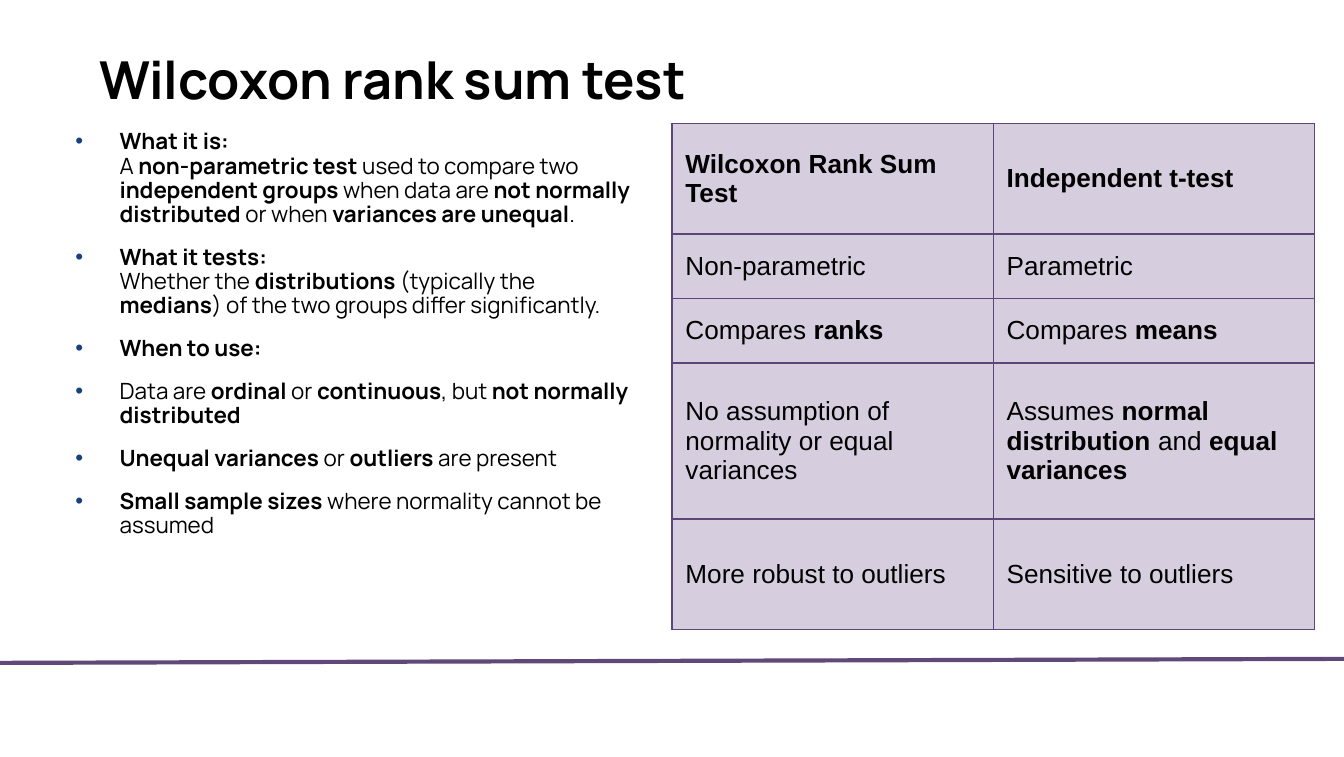
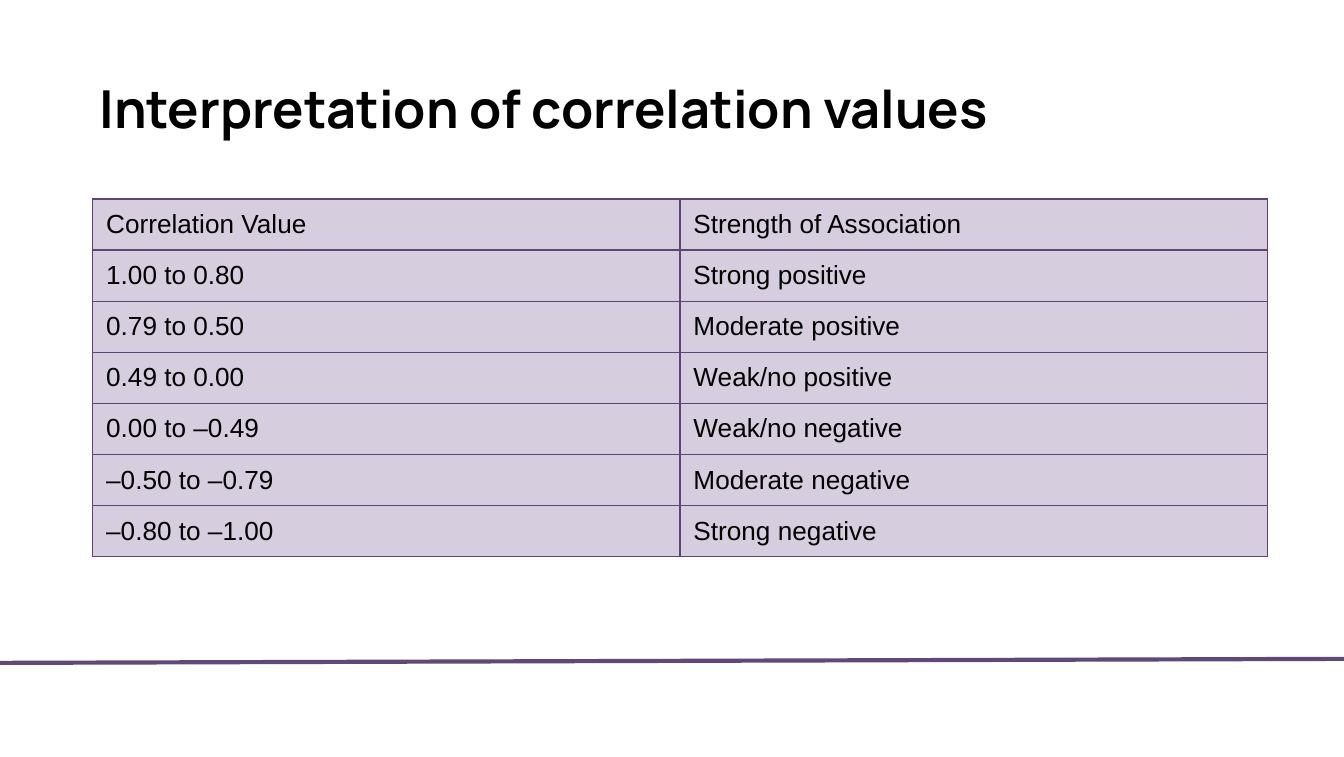
"""Build two statistics slides: a test comparison and a correlation guide."""
from dataclasses import dataclass

from lxml import etree
from pptx import Presentation
from pptx import util as u
from pptx.dml.color import RGBColor
from pptx.enum import text
from pptx.oxml import ns


@dataclass(frozen=True)
class Theme:
    """Colours, fonts and type sizes shared by the slides."""
    ink: str = "000000"
    paper: str = "FFFFFF"
    rule: str = "604878"
    border: str = "5E4577"
    cell: str = "D6CDDE"
    bullet: str = "19417E"
    heading_font: str = "Manrope"
    table_font: str = "Arial"
    title_size: int = 28
    body_size: int = 12
    table_size: int = 14
    rule_width: float = 2.25
    border_width: float = 0.75


@dataclass(frozen=True)
class Area:
    """A rectangle in inches."""
    left: float
    top: float
    width: float
    height: float

    def lengths(self) -> tuple:
        """Return the four sides as slide lengths."""
        return tuple(map(u.Inches, (self.left, self.top, self.width, self.height)))


@dataclass(frozen=True)
class Grid:
    """A table's place, row heights in inches and cell texts."""
    area: Area
    heights: list[float]
    rows: list[tuple[str, ...]]


THEME = Theme()
SLIDE_WIDTH, SLIDE_HEIGHT = 10, 5.63
TITLE_AND_BODY, TITLE_ONLY = 1, 5

WILCOXON_POINTS = [
    "*What it is:\n*A *non-parametric test* used to compare two *independent groups*"
    " when data are *not normally distributed* or when *variances are unequal*.",
    "*What it tests:\n*Whether the *distributions* (typically the *medians*)"
    " of the two groups differ significantly.",
    "*When to use:*",
    "Data are *ordinal* or *continuous*, but *not normally distributed*",
    "*Unequal variances* or *outliers* are present",
    "*Small sample sizes* where normality cannot be assumed",
]

TEST_GRID = Grid(Area(5, 0.92, 4.78, 3.78), [0.82, 0.48, 0.48, 1.16, 0.82], [
    ("*Wilcoxon Rank Sum Test*", "*Independent t-test*"),
    ("Non-parametric", "Parametric"),
    ("Compares *ranks*", "Compares *means*"),
    ("No assumption of normality or equal variances",
     "Assumes *normal distribution* and *equal variances*"),
    ("More robust to outliers", "Sensitive to outliers"),
])

CORRELATION_ROWS = [
    ("Correlation Value", "Strength of Association"),
    ("1.00 to 0.80", "Strong positive"),
    ("0.79 to 0.50", "Moderate positive"),
    ("0.49 to 0.00", "Weak/no positive"),
    ("0.00 to –0.49", "Weak/no negative"),
    ("–0.50 to –0.79", "Moderate negative"),
    ("–0.80 to –1.00", "Strong negative"),
]
CORRELATION_GRID = Grid(Area(0.69, 1.48, 8.74, 2.66),
                        [0.38] * len(CORRELATION_ROWS), CORRELATION_ROWS)


def add_xml(parent, tag: str, **attributes: str):
    """Append a drawing element and return it."""
    return etree.SubElement(parent, ns.qn(tag), attributes)


def add_spans(para, marked: str, font: str, size: int) -> None:
    """Write text run by run, bold between asterisks."""
    for index, part in enumerate(marked.split("*")):
        for number, line in enumerate(part.split("\n")):
            if number:
                para.add_line_break()
            if line:
                span = para.add_run()
                span.text = line
                span.font.name = font
                span.font.size = u.Pt(size)
                span.font.bold = index % 2 == 1
                span.font.color.rgb = RGBColor.from_string(THEME.ink)


def prepare_box(box, area: Area, inset: float):
    """Place a placeholder and return its formatted text frame."""
    box.left, box.top, box.width, box.height = area.lengths()
    frame = box.text_frame
    frame.word_wrap = True
    frame.auto_size = text.MSO_AUTO_SIZE.NONE
    frame.vertical_anchor = text.MSO_ANCHOR.TOP
    frame.margin_left = frame.margin_right = u.Inches(0.1)
    frame.margin_top = frame.margin_bottom = u.Inches(inset)
    return frame


def add_page(deck, layout: int, title: str, area: Area):
    """Add a slide with the shared background, rule and title."""
    page = deck.slides.add_slide(deck.slide_layouts[layout])
    page.background.fill.solid()
    page.background.fill.fore_color.rgb = RGBColor.from_string(THEME.paper)
    rule = page.shapes.add_connector(1, 0, u.Inches(4.93),
                                     u.Inches(SLIDE_WIDTH), u.Inches(4.9))
    rule.line.color.rgb = RGBColor.from_string(THEME.rule)
    rule.line.width = u.Pt(THEME.rule_width)
    add_xml(rule.element.spPr, "a:effectLst")
    para = prepare_box(page.shapes.title, area, 0.1).paragraphs[0]
    para.alignment = text.PP_ALIGN.LEFT
    add_spans(para, f"*{title}*", THEME.heading_font, THEME.title_size)
    return page


def fill_bullets(box, area: Area, points: list[str]) -> None:
    """Fill a body placeholder with a bulleted list."""
    frame = prepare_box(box, area, 0.05)
    for index, point in enumerate(points):
        para = frame.add_paragraph() if index else frame.paragraphs[0]
        para.alignment = text.PP_ALIGN.LEFT
        para.line_spacing = 0.9
        para.space_before = u.Pt(10)
        add_spans(para, point, THEME.heading_font, THEME.body_size)
        settings = para._p.get_or_add_pPr()
        settings.set("marL", str(u.Inches(0.5)))
        settings.set("indent", str(u.Inches(-0.33)))
        add_xml(add_xml(settings, "a:buClr"), "a:srgbClr", val=THEME.bullet)
        add_xml(settings, "a:buFont", typeface=THEME.table_font)
        add_xml(settings, "a:buChar", char="•")


def format_cell(cell) -> None:
    """Give a table cell its borders, fill and anchor."""
    settings = cell._tc.get_or_add_tcPr()
    for side in ("a:lnL", "a:lnR", "a:lnT", "a:lnB"):
        edge = add_xml(settings, side, w=str(u.Pt(THEME.border_width)))
        add_xml(add_xml(edge, "a:solidFill"), "a:srgbClr", val=THEME.border)
    cell.fill.solid()
    cell.fill.fore_color.rgb = RGBColor.from_string(THEME.cell)
    cell.vertical_anchor = text.MSO_ANCHOR.MIDDLE


def add_grid(page, grid: Grid) -> None:
    """Draw a table with equal columns."""
    columns = len(grid.rows[0])
    table = page.shapes.add_table(len(grid.rows), columns, *grid.area.lengths()).table
    for column in table.columns:
        column.width = u.Inches(grid.area.width / columns)
    for row, height, values in zip(table.rows, grid.heights, grid.rows):
        row.height = u.Inches(height)
        for cell, value in zip(row.cells, values):
            format_cell(cell)
            add_spans(cell.text_frame.paragraphs[0], value,
                      THEME.table_font, THEME.table_size)


def main() -> None:
    """Build and save the deck."""
    deck = Presentation()
    deck.slide_width, deck.slide_height = u.Inches(SLIDE_WIDTH), u.Inches(SLIDE_HEIGHT)

    page = add_page(deck, TITLE_AND_BODY, "Wilcoxon rank sum test",
                    Area(0.64, 0.25, 8.25, 0.59))
    fill_bullets(page.placeholders[1], Area(0.29, 0.92, 4.55, 3.78), WILCOXON_POINTS)
    add_grid(page, TEST_GRID)

    page = add_page(deck, TITLE_ONLY, "Interpretation of correlation values",
                    Area(0.64, 0.47, 8.93, 0.84))
    add_grid(page, CORRELATION_GRID)

    deck.save("out.pptx")


if __name__ == "__main__":
    main()
